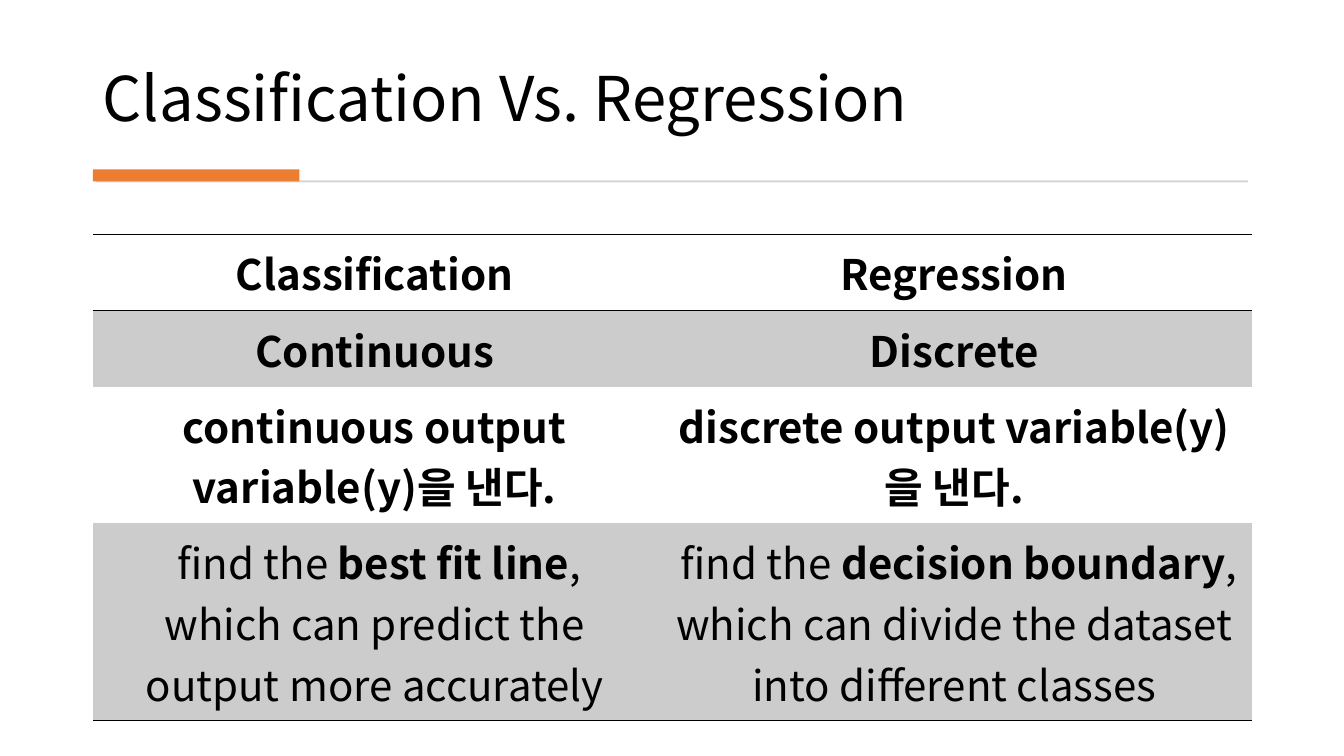
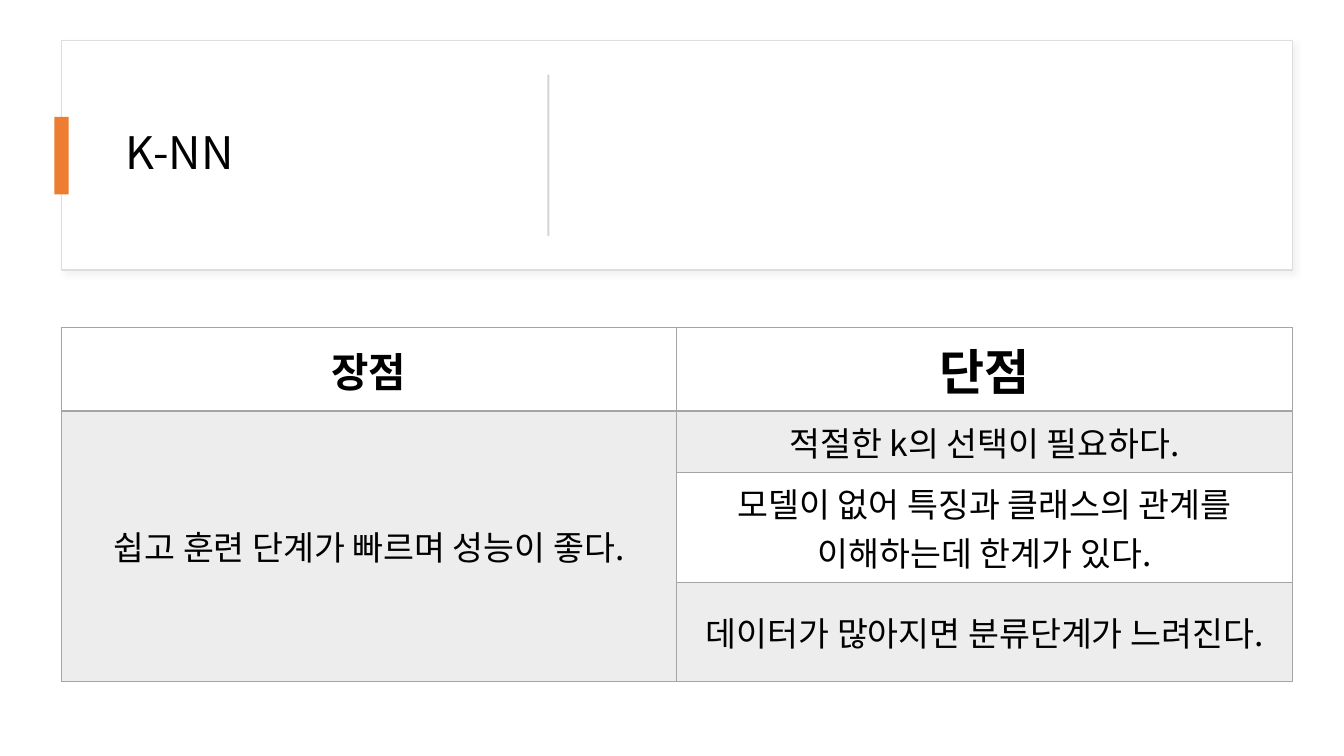
import pptx
import pptx.util
import pptx.dml.color
import pptx.enum.shapes
import pptx.enum.text
import pptx.oxml
import pptx.oxml.ns
from dataclasses import dataclass
from lxml import etree

PX = 9144  # EMU in one px, 100 px to the inch


@dataclass(frozen=True)
class Theme:
    font: str = "Noto Sans CJK KR"
    ink: str = "000000"
    paper: str = "FFFFFF"
    accent: str = "ED7D31"
    rule: str = "D5D5D5"
    card_line: str = "DEDEDE"
    card_shadow: str = "C5C3C3"
    dark_band: str = "CCCCCC"
    light_band: str = "EDEDED"
    grid: str = "A5A5A5"
    title_size: int = 44
    card_title_size: int = 32
    comparison_size: int = 30
    pros_size: int = 29
    cons_size: int = 35
    body_size: int = 24


THEME = Theme()
ANCHOR = pptx.enum.text.MSO_ANCHOR
ALIGN = pptx.enum.text.PP_ALIGN


def px(value):
    return pptx.util.Emu(value * PX)


def colour(value):
    return pptx.dml.color.RGBColor.from_string(value)


def write(frame, text, *, size, bold=False, align=ALIGN.LEFT, spacing=None):
    """Write text: a string, or a list of (string, bold) spans."""
    para = frame.paragraphs[0]
    para.alignment = align
    if spacing:
        para.line_spacing = spacing
    for words, heavy in [(text, bold)] if isinstance(text, str) else text:
        span = para.add_run()
        span.text = words
        span.font.size = pptx.util.Pt(size)
        span.font.bold = heavy
        span.font.color.rgb = colour(THEME.ink)
        span.font.name = THEME.font
        east_asian = etree.SubElement(span.font._element, pptx.oxml.ns.qn("a:ea"))
        east_asian.set("typeface", THEME.font)


def add_block(page, box, fill, line=None):
    block = page.shapes.add_shape(pptx.enum.shapes.MSO_SHAPE.RECTANGLE, *map(px, box))
    block.shadow.inherit = False
    block.fill.solid()
    block.fill.fore_color.rgb = colour(fill)
    if line:
        block.line.color.rgb = colour(line)
        block.line.width = pptx.util.Pt(1)
    else:
        block.line.fill.background()
    return block


def add_title(page, box, text, size, anchor):
    frame = page.shapes.add_textbox(*map(px, box)).text_frame
    frame.word_wrap = True
    frame.vertical_anchor = anchor
    write(frame, text, size=size, spacing=0.9)


def soften(block):
    """Give a block a faint shadow to the lower right."""
    effects = block._element.spPr.find(pptx.oxml.ns.qn("a:effectLst"))
    effects.append(pptx.oxml.parse_xml(
        f'<a:outerShdw {pptx.oxml.ns.nsdecls("a")} blurRad="50800" dist="38100" '
        f'dir="2700000" algn="tl" rotWithShape="0"><a:srgbClr val="{THEME.card_shadow}">'
        '<a:alpha val="20000"/></a:srgbClr></a:outerShdw>'))


def set_border(cell, side, width, line):
    paint = f'<a:solidFill><a:srgbClr val="{line}"/></a:solidFill>' if width else "<a:noFill/>"
    cell._tc.get_or_add_tcPr().append(pptx.oxml.parse_xml(
        f'<a:ln{side} {pptx.oxml.ns.nsdecls("a")} w="{pptx.util.Pt(width)}">{paint}</a:ln{side}>'))


def add_grid(page, box, widths, heights, *, row_rules, column_rules, line, margins):
    """Add a plain table; the rules are line widths from edge to edge."""
    table = page.shapes.add_table(len(heights), len(widths), *map(px, box)).table
    table.first_row = table.horz_banding = False
    for column, width in zip(table.columns, widths):
        column.width = px(width)
    for row, height in zip(table.rows, heights):
        row.height = px(height)
    across, down = map(px, margins)
    for r in range(len(heights)):
        for c in range(len(widths)):
            cell = table.cell(r, c)
            cell.vertical_anchor = ANCHOR.MIDDLE
            cell.margin_left = cell.margin_right = across
            cell.margin_top = cell.margin_bottom = down
            sides = {"L": column_rules[c], "R": column_rules[c + 1],
                     "T": row_rules[r], "B": row_rules[r + 1]}
            for side, width in sides.items():
                set_border(cell, side, width, line)
    return table


def fill_cell(cell, text, *, size, bold, band):
    if band:
        cell.fill.solid()
        cell.fill.fore_color.rgb = colour(band)
    else:
        cell.fill.background()
    write(cell.text_frame, text, size=size, bold=bold, align=ALIGN.CENTER)


def add_comparison(page, box):
    rows = [
        ("Classification", "Regression"),
        ("Continuous", "Discrete"),
        ("continuous output variable(y)을 낸다.", "discrete output variable(y)을 낸다."),
        ([(" find the ", False), ("best fit line", True),
          (", which can predict the output more accurately", False)],
         [(" find the ", False), ("decision boundary", True),
          (", which can divide the dataset into different classes", False)]),
    ]
    table = add_grid(page, box, [559, 591], [75, 76, 135, 196], row_rules=[1, 1, 0, 0, 1],
                     column_rules=[0, 0, 0], line=THEME.ink, margins=(14, 7))
    for r, row in enumerate(rows):
        for c, text in enumerate(row):
            fill_cell(table.cell(r, c), text, size=THEME.comparison_size, bold=True,
                      band=THEME.dark_band if r % 2 else None)


def add_pros_and_cons(page, box):
    cons = ["적절한 k의 선택이 필요하다.",
            "모델이 없어 특징과 클래스의 관계를 이해하는데 한계가 있다.",
            "데이터가 많아지면 분류단계가 느려진다."]
    table = add_grid(page, box, [610, 611], [83, 61, 109, 98], row_rules=[1, 2, 1, 1, 1],
                     column_rules=[1, 1, 1], line=THEME.grid, margins=(12, 6))
    table.cell(1, 0).merge(table.cell(3, 0))
    # Headings
    fill_cell(table.cell(0, 0), "장점", size=THEME.pros_size, bold=True, band=None)
    fill_cell(table.cell(0, 1), "단점", size=THEME.cons_size, bold=True, band=None)
    # One merged advantage beside three drawbacks
    fill_cell(table.cell(1, 0), "쉽고 훈련 단계가 빠르며 성능이 좋다.",
              size=THEME.body_size, bold=False, band=THEME.light_band)
    for r, text in enumerate(cons, start=1):
        fill_cell(table.cell(r, 1), text, size=THEME.body_size, bold=False,
                  band=THEME.light_band if r % 2 else None)


def add_heading(page, box, text):
    """Title above a thin rule with an accent bar at its left end."""
    left, top, width, height = box
    add_title(page, (left, top, width, 111), text, THEME.title_size, ANCHOR.BOTTOM)
    bottom = top + height
    add_block(page, (left + 3, bottom - 1, width - 6, 2), THEME.rule)
    add_block(page, (left, bottom - 12, 205, 12), THEME.accent)


def add_title_card(page, box, text):
    """Shadowed card with a title, an accent tab and a divider."""
    left, top, width, height = box
    middle = top + height // 2
    soften(add_block(page, box, THEME.paper, THEME.card_line))
    add_title(page, (left + 54, middle - 90, 389, 180), text,
              THEME.card_title_size, ANCHOR.MIDDLE)
    add_block(page, (left - 7, middle - 38, 14, 77), THEME.accent)
    add_block(page, (left + 482, middle - 80, 2, 160), THEME.rule)


def main():
    deck = pptx.Presentation()
    deck.slide_width, deck.slide_height = px(1333), px(750)
    blank = deck.slide_layouts[6]

    # Classification and regression side by side
    page = deck.slides.add_slide(blank)
    add_heading(page, (92, 28, 1149, 152), "Classification Vs. Regression")
    add_comparison(page, (92, 233, 1150, 482))

    # Strengths and weaknesses of K-NN
    page = deck.slides.add_slide(blank)
    add_title_card(page, (61, 40, 1221, 228), "K-NN")
    add_pros_and_cons(page, (61, 325, 1221, 351))

    deck.save("out.pptx")


if __name__ == "__main__":
    main()
